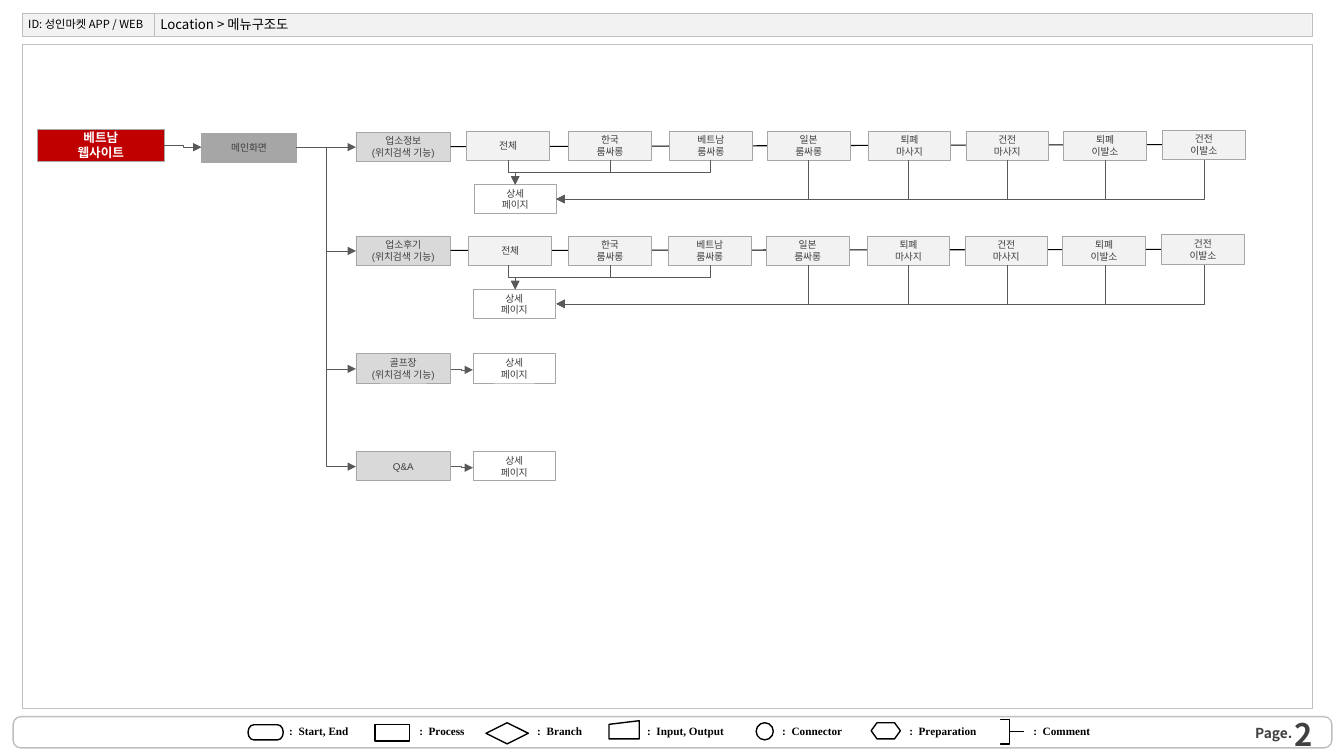
from lxml.etree import SubElement
from pptx import Presentation
from pptx.dml.color import RGBColor
from pptx.enum.shapes import MSO_CONNECTOR, MSO_SHAPE
from pptx.enum.text import MSO_ANCHOR, PP_ALIGN
from pptx.oxml.ns import qn
from pptx.util import Inches, Pt

BLACK = RGBColor(0x00, 0x00, 0x00)
WHITE = RGBColor(0xFF, 0xFF, 0xFF)
RED = RGBColor(0xC0, 0x00, 0x00)
INK = RGBColor(0x40, 0x40, 0x40)
ARROW = RGBColor(0x59, 0x59, 0x59)
EDGE = RGBColor(0xA6, 0xA6, 0xA6)
FRAME = RGBColor(0xBF, 0xBF, 0xBF)
SECTION = RGBColor(0xD9, 0xD9, 0xD9)
PALE = RGBColor(0xF2, 0xF2, 0xF2)

SANS, SERIF, BODY = "Noto Sans CJK KR", "Times New Roman", "Arial"
BOX_H, ITEM_W, SECTION_W = 0.29, 0.82, 0.94

ITEMS = ["전체", "한국\n룸싸롱", "베트남\n룸싸롱", "일본\n룸싸롱",
         "퇴폐\n마사지", "건전\n마사지", "퇴폐\n이발소", "건전\n이발소"]
DROP_X = [5.04, 6.05, 7.05, 8.02, 9.01, 9.99, 10.96, 11.94]
DETAIL = "상세\n페이지"
SEARCH = "\n(위치검색 기능)"


class FlowSlide:
    def __init__(self, slide):
        self.shapes = slide.shapes

    def fill_text(self, shape, text, size, font, color, bold=False,
                  align=PP_ALIGN.LEFT, anchor=MSO_ANCHOR.MIDDLE, insets=None):
        tf = shape.text_frame
        tf.word_wrap = True
        tf.vertical_anchor = anchor
        if insets:
            (tf.margin_left, tf.margin_top,
             tf.margin_right, tf.margin_bottom) = map(Inches, insets)
        tf.text = text
        for p in tf.paragraphs:
            p.alignment = align
            for r in p.runs:
                r.font.size, r.font.name, r.font.bold = Pt(size), font, bold
                r.font.color.rgb = color
                SubElement(r.font._element, qn("a:ea")).set("typeface", font)

    def text(self, x, y, w, h, text, size, font, color, **style):
        tb = self.shapes.add_textbox(Inches(x), Inches(y), Inches(w), Inches(h))
        self.fill_text(tb, text, size, font, color, **style)

    def shape(self, kind, x, y, w, h, fill=None, line=None, width=1):
        s = self.shapes.add_shape(kind, Inches(x), Inches(y), Inches(w), Inches(h))
        s.shadow.inherit = False
        if fill is None:
            s.fill.background()
        else:
            s.fill.solid()
            s.fill.fore_color.rgb = fill
        if line is None:
            s.line.fill.background()
        else:
            s.line.color.rgb = line
            s.line.width = Pt(width)
        return s

    def box(self, text, x, y, w=ITEM_W, h=BOX_H, fill=WHITE, size=7, color=INK, bold=False):
        s = self.shape(MSO_SHAPE.RECTANGLE, x, y, w, h, fill, EDGE, 0.5)
        self.fill_text(s, text, size, BODY, color, bold, PP_ALIGN.CENTER)
        return s

    def connector(self, kind, x1, y1, x2, y2, color, width):
        c = self.shapes.add_connector(kind, Inches(x1), Inches(y1), Inches(x2), Inches(y2))
        c.line.color.rgb = color
        c.line.width = Pt(width)
        SubElement(c._element.spPr, qn("a:effectLst"))
        return c

    def line(self, x1, y1, x2, y2, width):
        return self.connector(MSO_CONNECTOR.STRAIGHT, x1, y1, x2, y2, BLACK, width)

    def elbow(self, x1, y1, x2, y2):
        """Arrow that leaves sideways and turns halfway."""
        c = self.connector(MSO_CONNECTOR.ELBOW, x1, y1, x2, y2, ARROW, 0.5)
        SubElement(c._element.spPr.find(qn("a:ln")), qn("a:tailEnd")).set("type", "triangle")
        return c

    def drop(self, x1, y1, x2, y2, single_turn=False):
        """Arrow that leaves downwards: an elbow turned by 90 degrees."""
        mx, my = (x1 + x2) / 2, (y1 + y2) / 2
        half_w, half_h = (y2 - y1) / 2, (x1 - x2) / 2
        c = self.elbow(mx - half_w, my - half_h, mx + half_w, my + half_h)
        spPr = c._element.spPr
        spPr.find(qn("a:xfrm")).set("rot", str(90 * 60000))
        if single_turn:
            spPr.find(qn("a:prstGeom")).set("prst", "bentConnector2")

    def menu_row(self, section, top, lefts, detail_x, detail_y):
        last = len(ITEMS) - 1
        spine = self.line(4.47, top + 0.15, lefts[last], top + 0.14, 0.75)
        boxes = [self.box(label, x, top - 0.01 * (i == last), fill=PALE)
                 for i, (label, x) in enumerate(zip(ITEMS, lefts))]
        spine.begin_connect(section, 3)
        spine.end_connect(boxes[last], 1)
        self.box(DETAIL, detail_x, detail_y)
        for i, x in enumerate(DROP_X):
            if i < 3:
                self.drop(x, top + BOX_H, 5.11, detail_y)
            else:
                self.drop(x, top + BOX_H, 5.52, detail_y + BOX_H / 2, single_turn=True)


def draw_frame(fs):
    footer = fs.shape(MSO_SHAPE.ROUNDED_RECTANGLE, 0.13, 7.11, 13.08, 0.31, line=FRAME)
    footer.adjustments[0] = 0.25
    fs.shape(MSO_SHAPE.RECTANGLE, 0.22, 0.44, 12.79, 6.59, None, FRAME, 0.25)
    for x, w in [(1.53, 11.48), (0.22, 1.31)]:
        fs.shape(MSO_SHAPE.RECTANGLE, x, 0.13, w, 0.23, PALE, FRAME, 0.25)
    fs.text(12.45, 7.19, 0.56, 0.17, "Page.", 9.8, SANS, INK, bold=True, insets=(0, 0, 0, 0))
    fs.text(10.01, 7.2, 3.11, 0.16, "2", 22.1, SANS, INK, bold=True, align=PP_ALIGN.RIGHT)
    for x, w, text, size in [(1.54, 8.13, "Location > 메뉴구조도", 9.5),
                             (0.23, 1.31, "ID: 성인마켓 APP / WEB", 8)]:
        fs.text(x, 0.1, w, 0.28, text, size, SANS, BLACK, insets=(0.05, 0, 0, 0))


def draw_legend(fs):
    symbols = [
        (MSO_SHAPE.FLOWCHART_TERMINATOR, 2.46, 7.19, 0.35, 0.15),
        (MSO_SHAPE.FLOWCHART_PROCESS, 3.72, 7.19, 0.34, 0.16),
        (MSO_SHAPE.FLOWCHART_DECISION, 4.82, 7.17, 0.42, 0.21),
        (MSO_SHAPE.FLOWCHART_MANUAL_INPUT, 6.04, 7.15, 0.3, 0.18),
        (MSO_SHAPE.FLOWCHART_CONNECTOR, 7.5, 7.17, 0.17, 0.17),
        (MSO_SHAPE.FLOWCHART_PREPARATION, 8.64, 7.17, 0.29, 0.16),
        (MSO_SHAPE.FLOWCHART_PROCESS, 9.68, 7.14, 0.33, 0.24),
    ]
    for symbol in symbols:
        comment = fs.shape(*symbol, WHITE, BLACK)
    # Covers the left part of the comment box, leaving a bracket
    fs.shape(MSO_SHAPE.RECTANGLE, 9.46, 7.13, 0.46, 0.28, WHITE)
    fs.line(10.01, 7.26, 10.16, 7.26, 1).begin_connect(comment, 3)
    labels = [("Start, End", 2.77), ("Process", 4.06), ("Branch", 5.23),
              ("Input, Output", 6.32), ("Connector", 7.66),
              ("Preparation", 8.92), ("Comment", 10.15)]
    for label, x in labels:
        fs.text(x, 7.14, 0.98, 0.23, f":  {label}", 8, SERIF, BLACK,
                bold=True, anchor=MSO_ANCHOR.TOP)


def draw_menu(fs):
    fs.box("베트남\n웹사이트", 0.37, 1.28, 1.26, 0.32, RED, 9, WHITE, True)
    fs.box("메인화면", 2, 1.32, SECTION_W, fill=EDGE)
    fs.elbow(1.63, 1.44, 2, 1.46)
    sections = []
    for label, y in [("업소정보" + SEARCH, 1.31), ("업소후기" + SEARCH, 2.34),
                     ("골프장" + SEARCH, 3.51), ("Q&A", 4.48)]:
        sections.append(fs.box(label, 3.53, y, SECTION_W, fill=SECTION))
        fs.elbow(2.94, 1.46, 3.53, y + 0.15)
    fs.menu_row(sections[0], 1.3,
                [4.63, 5.64, 6.64, 7.61, 8.61, 9.58, 10.55, 11.53], 4.7, 1.83)
    fs.menu_row(sections[1], 2.34,
                [4.65, 5.64, 6.63, 7.6, 8.6, 9.57, 10.54, 11.52], 4.69, 2.87)
    for y in (3.51, 4.48):
        fs.box(DETAIL, 4.69, y)
        fs.elbow(4.47, y + 0.15, 4.69, y + 0.16)


def main():
    prs = Presentation()
    prs.slide_width, prs.slide_height = Inches(13.33), Inches(7.5)
    fs = FlowSlide(prs.slides.add_slide(prs.slide_layouts[6]))
    draw_frame(fs)
    draw_legend(fs)
    draw_menu(fs)
    prs.save("out.pptx")


if __name__ == "__main__":
    main()
